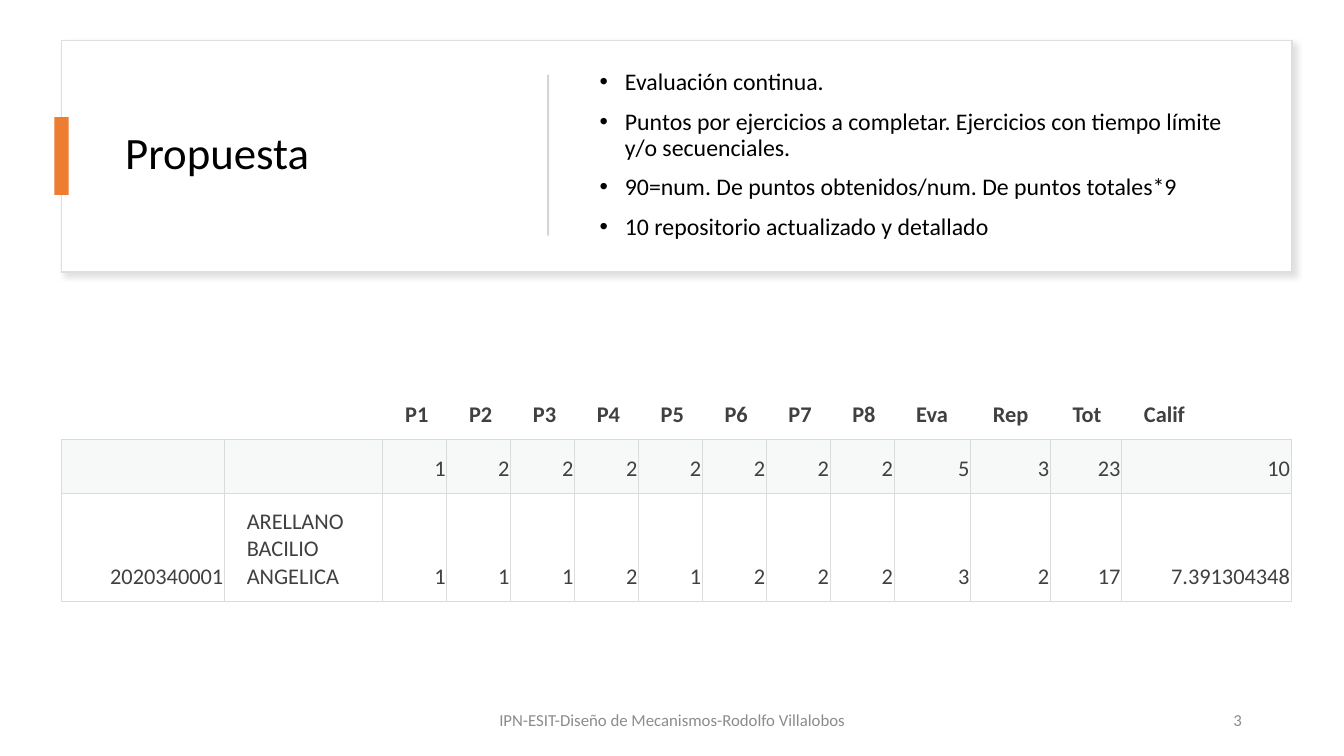
from lxml import etree
from pptx import Presentation
from pptx import util as u
from pptx.dml.color import RGBColor
from pptx.enum import shapes, text
from pptx.oxml import ns

COLORS = {"white": "FFFFFF", "black": "000000", "card_line": "DEDEDE",
          "shadow": "C5C3C3", "accent": "ED7D31", "divider": "D5D5D5",
          "grid": "D8DCDC", "band": "D8DEDC", "cell_text": "404040", "footer": "8C8C8C"}
ALIGN, ANCHOR = text.PP_ALIGN, text.MSO_ANCHOR


def rgb(name):
    return RGBColor.from_string(COLORS[name])


def add_xml(parent, tag, **attributes):
    return etree.SubElement(parent, ns.qn(tag), {k: str(v) for k, v in attributes.items()})


class SlideBuilder:
    font_name = "Calibri"

    def __init__(self, slide):
        self.slide = slide

    def place(self, shape, box):
        for side, value in zip(("left", "top", "width", "height"), box):
            setattr(shape, side, u.Cm(value))

    def format_run(self, run, size, color, bold=False):
        for key, value in {"name": self.font_name, "size": u.Pt(size), "bold": bold}.items():
            setattr(run.font, key, value)
        run.font.color.rgb = rgb(color)

    def rectangle(self, box, fill, line=None):
        shape = self.slide.shapes.add_shape(shapes.MSO_SHAPE.RECTANGLE, *map(u.Cm, box))
        shape.shadow.inherit = False
        shape.fill.solid()
        shape.fill.fore_color.rgb = rgb(fill)
        if line:
            shape.line.color.rgb = rgb(line)
            shape.line.width = u.Pt(1)
        else:
            shape.line.fill.background()
        return shape

    def soft_shadow(self, shape):
        effects = shape.element.spPr.find(ns.qn("a:effectLst"))
        shadow = add_xml(effects, "a:outerShdw", blurRad=u.Pt(4), dist=u.Pt(3),
                         dir=45 * 60000, algn="tl", rotWithShape=0)
        color = add_xml(shadow, "a:srgbClr", val=COLORS["shadow"])
        add_xml(color, "a:alpha", val=50000)

    def fill_frame(self, frame, lines, size, color, align=ALIGN.LEFT, bullets=False):
        frame_format = {"word_wrap": True, "auto_size": text.MSO_AUTO_SIZE.NONE,
                        "vertical_anchor": ANCHOR.MIDDLE}
        for key, value in frame_format.items():
            setattr(frame, key, value)
        for index, line in enumerate(lines):
            paragraph = frame.add_paragraph() if index else frame.paragraphs[0]
            if bullets:
                properties = paragraph._p.get_or_add_pPr()
                properties.set("marL", str(u.Cm(0.64)))
                properties.set("indent", str(-u.Cm(0.64)))
                add_xml(properties, "a:buFont", typeface="Arial")
                add_xml(properties, "a:buChar", char="•")
            paragraph_format = {"alignment": align, "line_spacing": 0.9,
                                "space_before": u.Pt(10 if index else 0)}
            for key, value in paragraph_format.items():
                setattr(paragraph, key, value)
            run = paragraph.add_run()
            run.text = line
            self.format_run(run, size, color)

    def title(self, box, words, size):
        heading = self.slide.shapes.title
        self.place(heading, box)
        self.fill_frame(heading.text_frame, [words], size, "black")
        # Bring the heading in front of the card
        heading.element.getparent().append(heading.element)

    def text_box(self, box, lines, size, color, **options):
        label = self.slide.shapes.add_textbox(*map(u.Cm, box))
        self.fill_frame(label.text_frame, lines, size, color, **options)

    def borders(self, cell, sides):
        properties = cell._tc.get_or_add_tcPr()
        for side in sides:
            border = add_xml(properties, f"a:ln{side}", w=u.Pt(0.75))
            add_xml(add_xml(border, "a:solidFill"), "a:srgbClr", val=COLORS["grid"])

    def cell(self, cell, words, header, banded):
        self.borders(cell, "B" if header else "LRTB")
        if banded:
            cell.fill.solid()
            cell.fill.fore_color.rgb = rgb("band")
            color = cell._tc.tcPr.find(".//" + ns.qn("a:solidFill") + "[last()]")
            fill = cell._tc.tcPr.findall(ns.qn("a:solidFill"))[-1]
            add_xml(fill[0], "a:alpha", val=20000)
        else:
            cell.fill.background()
        cell_format = {"margin_left": u.Cm(0.56), "margin_top": u.Cm(0.28),
                       "margin_right": u.Cm(0.03), "margin_bottom": u.Cm(0.28),
                       "vertical_anchor": ANCHOR.BOTTOM}
        for key, value in cell_format.items():
            setattr(cell, key, value)
        if words:
            paragraph = cell.text_frame.paragraphs[0]
            is_number = words[0].isdigit()
            paragraph.alignment = ALIGN.RIGHT if is_number else ALIGN.LEFT
            run = paragraph.add_run()
            run.text = words
            self.format_run(run, 16, "cell_text", header)

    def table(self, left, top, widths, heights, rows):
        size = (left, top, sum(widths), sum(heights))
        grades = self.slide.shapes.add_table(len(rows), len(widths), *map(u.Cm, size)).table
        grades.first_row = grades.horz_banding = False
        for column, width in zip(grades.columns, widths):
            column.width = u.Cm(width)
        for row, height in zip(grades.rows, heights):
            row.height = u.Cm(height)
        for r, row in enumerate(rows):
            for c, words in enumerate(row):
                self.cell(grades.cell(r, c), words, header=r == 0, banded=r == 1)


def main():
    deck = Presentation()
    deck.slide_width, deck.slide_height = u.Cm(33.87), u.Cm(19.05)
    page = SlideBuilder(deck.slides.add_slide(deck.slide_layouts[5]))

    # Proposal card
    card = page.rectangle((1.55, 1.02, 31.01, 5.84), "white", "card_line")
    page.soft_shadow(card)
    page.title((2.9, 1.63, 9.88, 4.57), "Propuesta", 32)
    page.rectangle((1.37, 2.95, 0.36, 1.96), "accent")
    page.rectangle((13.79, 1.88, 0.05, 4.06), "divider")
    page.text_box((14.86, 1.63, 16.66, 4.57), [
        "Evaluación continua.",
        "Puntos por ejercicios a completar. Ejercicios con tiempo límite y/o secuenciales.",
        "90=num. De puntos obtenidos/num. De puntos totales*9",
        "10 repositorio actualizado y detallado",
    ], 17, "black", bullets=True)

    # Grades table
    practices = [f"P{n}" for n in range(1, 9)]
    page.table(1.55, 9.73, [4.11, 3.99] + [1.61] * 8 + [1.93, 2.01, 1.8, 4.27],
               [1.35, 1.35, 2.72], [
        ["", "", *practices, "Eva", "Rep", "Tot", "Calif"],
        ["", "", *"12222222", "5", "3", "23", "10"],
        ["2020340001", "ARELLANO BACILIO ANGELICA", *"11121222", "3", "2", "17", "7.391304348"],
    ])

    # Footer
    page.text_box((23.93, 17.65, 7.62, 1.02), ["3"], 12, "footer", align=ALIGN.RIGHT)
    page.text_box((11.23, 17.65, 11.43, 1.02),
                  ["IPN-ESIT-Diseño de Mecanismos-Rodolfo Villalobos"],
                  12, "footer", align=ALIGN.CENTER)

    deck.save("out.pptx")


if __name__ == "__main__":
    main()
